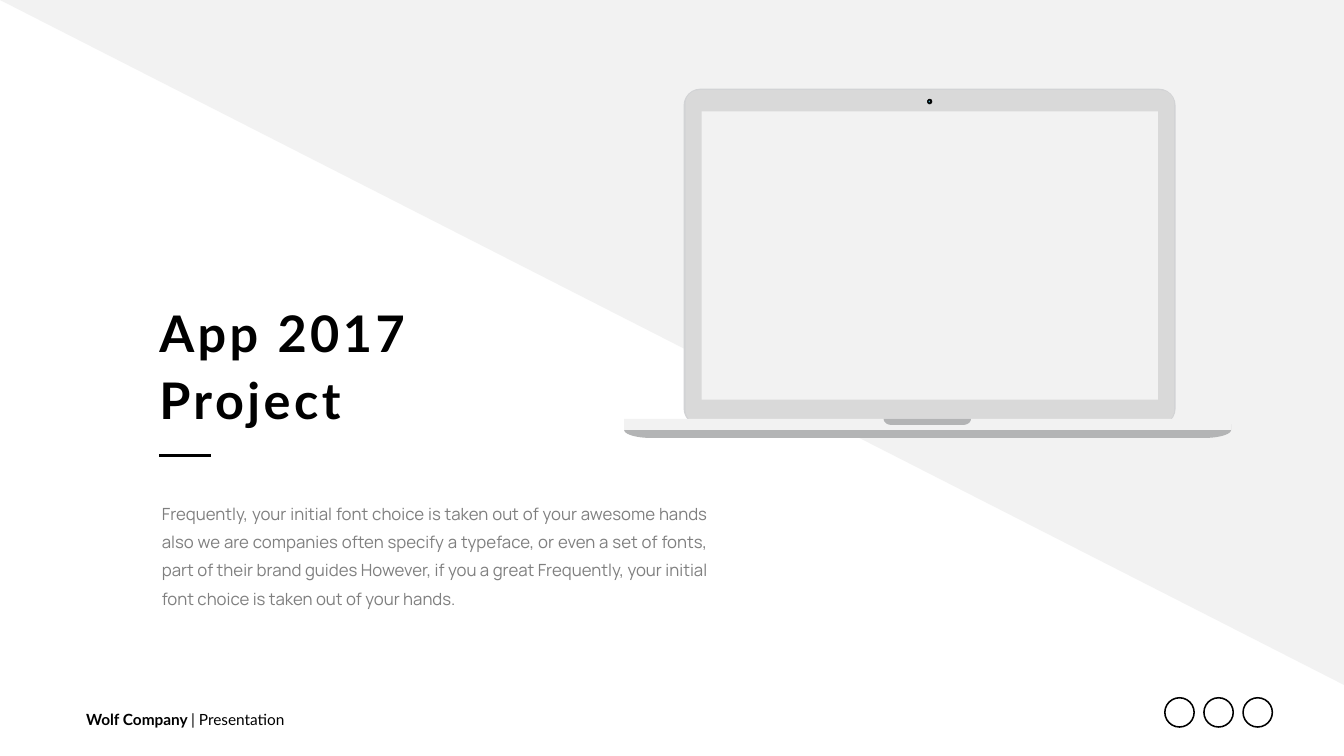
from dataclasses import dataclass
from math import cos, pi, sin

from lxml.etree import SubElement as Sub
from pptx import Presentation as Deck
from pptx.dml.color import RGBColor as Rgb
from pptx.enum.shapes import MSO_CONNECTOR as Link, MSO_SHAPE as Kind
from pptx.enum.text import MSO_ANCHOR as Anchor, MSO_AUTO_SIZE as Fit, PP_ALIGN as Align
from pptx.oxml.ns import qn
from pptx.util import Inches, Pt


@dataclass(frozen=True)
class Theme:
    ink: str = "000000"
    gray: str = "7F7F7F"
    pale: str = "F2F2F2"
    lid: str = "D9D9D9"
    rim: str = "D2D3D5"
    steel: str = "B3B4B5"
    case: str = "2C2C2C"
    bezel: str = "0A0A0A"
    iris: str = "2C99B4"
    white: str = "FFFFFF"
    head: str = "Lato"
    text: str = "Manrope"
    large: int = 72
    mid: int = 24
    small: int = 22


def apply(obj, form):
    for key, value in form.items():
        setattr(obj, key, value)


class Page:
    def __init__(self, deck, theme):
        self.theme = theme
        self.wide = deck.slide_width / 100
        self.high = deck.slide_height / 100
        self.slide = deck.slides.add_slide(deck.slide_layouts[5])
        self.shapes = self.slide.shapes

    def scale(self, *spots):
        return [round(n * (self.high if i % 2 else self.wide)) for i, n in enumerate(spots)]

    def paint(self, shape, fill=None, line=None, width=1):
        shape.shadow.inherit = False
        if fill:
            shape.fill.solid()
            shape.fill.fore_color.rgb = Rgb.from_string(fill)
        else:
            shape.fill.background()
        if line:
            shape.line.color.rgb = Rgb.from_string(line)
            shape.line.width = Pt(width)
        else:
            shape.line.fill.background()
        return shape

    def shape(self, kind, box, fill=None, curve=None, turn=0, **edge):
        item = self.shapes.add_shape(kind, *self.scale(*box))
        if curve is not None:
            item.adjustments[0] = curve
        item.rotation = turn
        return self.paint(item, fill, **edge)

    def tray(self, box, bend, fill):
        left, top, wide, high = box
        arc = [(bend[0] * (1 - cos(a)), high - bend[1] * (1 - sin(a)))
               for a in (pi / 2 * n / 12 for n in range(13))]
        spots = [(left, top)] + [(left + x, top + y) for x, y in arc]
        spots += [(left + wide - x, top + y) for x, y in reversed(arc)]
        spots.append((left + wide, top))
        first, *rest = [tuple(self.scale(*spot)) for spot in spots]
        form = self.shapes.build_freeform(*first, scale=1.0)
        form.add_line_segments(rest, close=True)
        return self.paint(form.convert_to_shape(), fill)

    def rule(self, ends, width):
        line = self.shapes.add_connector(Link.STRAIGHT, *self.scale(*ends))
        line.line.color.rgb = Rgb.from_string(self.theme.ink)
        line.line.width = Pt(width)
        Sub(line._element.spPr, qn("a:effectLst"))

    def label(self, shape, paras, font, frame, para, track=0):
        area = shape.text_frame
        apply(area, frame)
        name, size, color = font
        for i, runs in enumerate(paras):
            item = area.add_paragraph() if i else area.paragraphs[0]
            apply(item, para)
            for words, bold in runs:
                run = item.add_run()
                run.text = words
                apply(run.font, dict(name=name, size=Pt(size), bold=bold))
                run.font.color.rgb = Rgb.from_string(color)
                if track:
                    run._r.get_or_add_rPr().set("spc", str(track * 100))

    def title(self, box, lines):
        shape = self.shapes.title
        apply(shape, dict(zip(("left", "top", "width", "height"), self.scale(*box))))
        edges = {"margin_" + side: 0 for side in ("left", "top", "right", "bottom")}
        frame = dict(edges, word_wrap=False, auto_size=Fit.SHAPE_TO_FIT_TEXT,
                     vertical_anchor=Anchor.MIDDLE)
        para = dict(alignment=Align.LEFT, line_spacing=Pt(95), space_before=Pt(0))
        font = (self.theme.head, self.theme.large, self.theme.ink)
        self.label(shape, [[(line, True)] for line in lines], font, frame, para, track=5)

    def body(self, box, words):
        shape = self.shapes.add_textbox(*self.scale(*box))
        side, rim = Inches(0.24), Inches(0.12)
        frame = dict(margin_left=side, margin_right=side, margin_top=rim, margin_bottom=rim,
                     word_wrap=True, auto_size=Fit.SHAPE_TO_FIT_TEXT)
        para = dict(alignment=Align.JUSTIFY, line_spacing=Pt(40.4))
        font = (self.theme.text, self.theme.mid, self.theme.gray)
        self.label(shape, [[(words, False)]], font, frame, para)

    def foot(self, box, runs):
        shape = self.shapes.add_textbox(*self.scale(*box))
        frame = dict(word_wrap=False, auto_size=Fit.SHAPE_TO_FIT_TEXT,
                     vertical_anchor=Anchor.MIDDLE)
        font = (self.theme.head, self.theme.small, self.theme.ink)
        self.label(shape, [runs], font, frame, dict(alignment=Align.LEFT))

    def laptop(self):
        hue = self.theme
        self.tray((46.44, 56.13, 45.16, 1.8), (1.99, 1.07), hue.steel)
        self.shape(Kind.ROUNDED_RECTANGLE, (50.86, 11.73, 36.61, 44.53), hue.rim, 0.05)
        self.shape(Kind.ROUNDED_RECTANGLE, (51.01, 11.93, 36.35, 44.07), hue.lid, 0.04)
        self.shape(Kind.RECTANGLE, (46.44, 55.4, 45.16, 1.47), hue.pale)
        self.tray((65.75, 55.4, 6.49, 0.8), (0.56, 0.8), hue.steel)
        self.shape(Kind.RECTANGLE, (52.21, 14.73, 33.95, 38.13), hue.pale)
        lens = [((68.98, 13.13, 0.38, 0.67), hue.case),
                ((68.98, 13.07, 0.38, 0.67), hue.bezel),
                ((69.05, 13.2, 0.23, 0.47), hue.ink),
                ((69.09, 13.33, 0.11, 0.2), hue.iris)]
        for box, fill in lens:
            self.shape(Kind.OVAL, box, fill)
        self.shape(Kind.DIAMOND, (69.13, 13.33, 0.04, 0.07), hue.white)


def main():
    deck = Deck()
    apply(deck, dict(slide_width=Inches(26.66), slide_height=Inches(15)))
    theme = Theme()
    page = Page(deck, theme)
    page.shape(Kind.RIGHT_TRIANGLE, (0, 0, 100, 90.6), theme.pale, turn=180)
    page.foot((6.04, 93.53, 15.64, 3.13), [("Wolf Company ", True), ("| Presentation", False)])
    for n in range(3):
        page.shape(Kind.OVAL, (86.67 + 2.91 * n, 92.3, 2.18, 3.87), line=theme.ink, width=2.2)
    page.title((11.85, 39.13, 18.79, 17.73), ["App 2017", "Project"])
    page.body((11.14, 64.73, 42.39, 16.53),
              "Frequently, your initial font choice is taken out of your awesome hands "
              "also we are companies often specify a typeface, or even a set of fonts, "
              "part of their brand guides However, if you a great Frequently, your initial "
              "font choice is taken out of your hands.")
    page.rule((11.85, 60.2, 15.68, 60.2), 4.5)
    page.laptop()
    deck.save("out.pptx")


if __name__ == "__main__":
    main()
